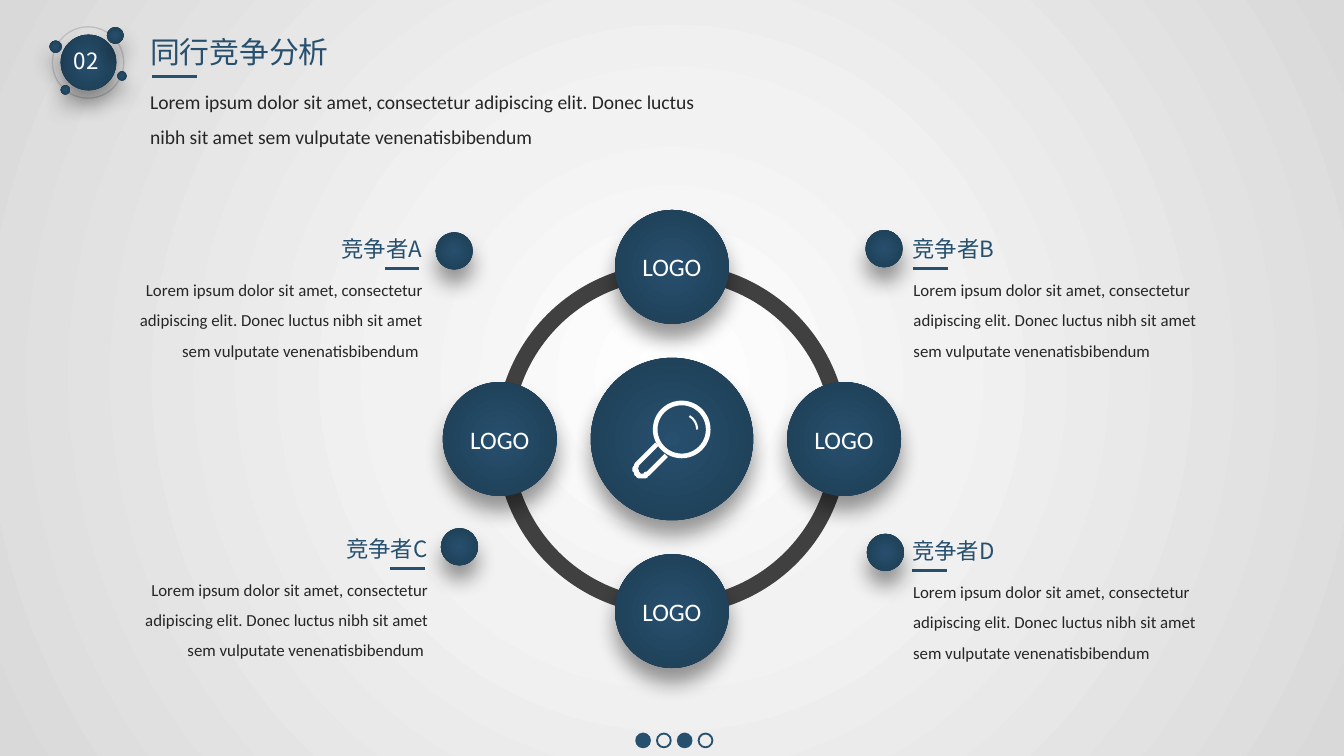
import math

from lxml import etree
from pptx import Presentation
from pptx.dml.color import RGBColor
from pptx.enum.shapes import MSO_CONNECTOR, MSO_SHAPE
from pptx.enum.text import MSO_ANCHOR, PP_ALIGN
from pptx.oxml.ns import qn
from pptx.util import Pt

STRAIGHT = MSO_CONNECTOR.STRAIGHT
OVAL, BLOCK_ARC, ARC = MSO_SHAPE.OVAL, MSO_SHAPE.BLOCK_ARC, MSO_SHAPE.ARC
LEFT, CENTER, RIGHT = PP_ALIGN.LEFT, PP_ALIGN.CENTER, PP_ALIGN.RIGHT
MIDDLE = MSO_ANCHOR.MIDDLE

BLUE, WHITE, DARK, RING = "27506E", "FFFFFF", "262626", "404040"
CIRCLE_STOPS = [(0, BLUE), (100, "1D3C52")]
PAGE_STOPS = [(0, WHITE), (35, "F2F2F2"), (100, "D9D9D9")]
LATIN, CJK = "Calibri", "Noto Sans CJK SC"
LOREM = ("Lorem ipsum dolor sit amet, consectetur adipiscing elit. "
         "Donec luctus nibh sit amet sem vulputate venenatisbibendum")
CX, CY = 360, 235.2  # centre of the ring diagram


def color(value):
    return RGBColor.from_string(value)


def radial(solid, stops):
    """Replace a solid fill element by a gradient running out from the centre."""
    grad = etree.Element(qn("a:gradFill"), rotWithShape="1")
    gs_list = etree.SubElement(grad, qn("a:gsLst"))
    for pos, value in stops:
        gs = etree.SubElement(gs_list, qn("a:gs"), pos=str(pos * 1000))
        etree.SubElement(gs, qn("a:srgbClr"), val=value)
    way = etree.SubElement(grad, qn("a:path"), {"path": "circle"})
    etree.SubElement(way, qn("a:fillToRect"), l="50000", t="50000", r="50000", b="50000")
    solid.getparent().replace(solid, grad)


def add_shadow(sp):
    effects = sp.element.spPr.find(qn("a:effectLst"))
    shadow = etree.SubElement(effects, qn("a:outerShdw"), blurRad=str(Pt(11)),
                              dist=str(Pt(8)), dir="5400000", algn="t", rotWithShape="0")
    black = etree.SubElement(shadow, qn("a:srgbClr"), val="000000")
    etree.SubElement(black, qn("a:alpha"), val="40000")


def paint(sp, fill=None, line=None, width=1):
    sp.shadow.inherit = False
    if fill:
        sp.fill.solid()
        sp.fill.fore_color.rgb = color(fill)
    else:
        sp.fill.background()
    if line:
        sp.line.color.rgb = color(line)
        sp.line.width = Pt(width)
    else:
        sp.line.fill.background()


def add_shape(slide, kind, x, y, size, **style):
    sp = slide.shapes.add_shape(kind, Pt(x), Pt(y), Pt(size), Pt(size))
    paint(sp, **style)
    return sp


def write(sp, text, size, font, value, align=LEFT, spacing=None):
    p = sp.text_frame.paragraphs[0]
    p.text = text
    p.alignment = align
    if spacing:
        p.line_spacing = spacing
    r = p.runs[0]
    r.font.size = Pt(size)
    r.font.name = font
    r.font.color.rgb = color(value)
    etree.SubElement(r.font._element, qn("a:ea"), typeface=font)


def add_text(slide, x, y, w, h, text, size, font, value, wrap=True, **layout):
    sp = slide.shapes.add_textbox(Pt(x), Pt(y), Pt(w), Pt(h))
    sp.text_frame.word_wrap = wrap
    write(sp, text, size, font, value, **layout)


def add_ball(slide, x, y, size, label=None):
    sp = add_shape(slide, OVAL, x, y, size, fill=BLUE)
    radial(sp.element.spPr.find(qn("a:solidFill")), CIRCLE_STOPS)
    add_shadow(sp)
    if label:
        tf = sp.text_frame
        tf.vertical_anchor = MIDDLE
        tf.word_wrap = False
        write(sp, label, 13.5, LATIN, WHITE, CENTER)


def add_rule(slide, x, y, length):
    s = slide.shapes.add_connector(STRAIGHT, Pt(x), Pt(y), Pt(x + length), Pt(y))
    s.line.color.rgb = color(BLUE)
    s.line.width = Pt(1.5)
    etree.SubElement(s.element.spPr, qn("a:effectLst"))


def add_header(slide):
    # Badge with its satellites
    add_shape(slide, OVAL, 28.1, 14.4, 38.2, line="BFBFBF", width=0.75)
    for x, y, size in [(32.5, 18.6, 29.8), (57.3, 14.5, 9), (26.5, 21.7, 6.6),
                       (32.5, 45.7, 5), (62.9, 38.2, 5)]:
        add_ball(slide, x, y, size)
    add_text(slide, 73.4, 14.4, 111.6, 26.6, "同行竞争分析", 16, CJK, BLUE, wrap=False)
    add_text(slide, 73.4, 38.2, 321.8, 43.2, LOREM, 10.5, LATIN, DARK, spacing=1.5)
    add_rule(slide, 81.4, 41, 24.4)
    add_text(slide, 32.4, 21.6, 29.5, 21.6, "02", 12, CJK, WHITE, wrap=False)


def add_page_dots(slide):
    for i in range(4):
        add_shape(slide, OVAL, 340.8 + 11.15 * i, 393, 7.4,
                  fill=None if i % 2 else BLUE, line=BLUE)


def add_diagram(slide):
    # Ring in four quarters
    for start in (108, 54, 0, 162):
        arc = add_shape(slide, BLOCK_ARC, CX - 94.4, CY - 94.4, 188.8, fill=RING)
        for i, value in enumerate((start, (start + 54) % 216, 0.046)):
            arc.adjustments[i] = value
    # Centre and the four competitors around it
    add_ball(slide, CX - 43.5, CY - 43.5, 87)
    for dx, dy in [(0, -1), (1, 0), (0, 1), (-1, 0)]:
        add_ball(slide, CX + 92.2 * dx - 30.5, CY + 92.2 * dy - 30.5, 61, "LOGO")


def add_competitor(slide, name, edge, top, align, dot):
    """Heading, rule and body hung on the edge that faces the ring."""
    if align == RIGHT:
        head_x, body_x, rule_x = edge - 136.8, edge - 175.7, edge - 27.2
        body = LOREM + " "
    else:
        head_x, body_x, rule_x = edge, edge + 0.5, edge + 7.2
        body = LOREM
    add_text(slide, body_x, top + 18.5, 175.7, 56.2, body, 9, LATIN, DARK,
             align=align, spacing=1.5)
    add_text(slide, head_x, top, 136.8, 21.6, "竞争者" + name, 12, CJK, BLUE, align=align)
    add_rule(slide, rule_x, top + 21.6, 18.6)
    add_ball(slide, *dot, 19.9)


def add_magnifier(slide):
    x, y = 365.2, 230.1  # lens centre
    add_shape(slide, OVAL, x - 14.2, y - 14.2, 28.4, line=WHITE, width=2.5)
    glint = add_shape(slide, ARC, x - 8.3, y - 8.3, 16.6, line=WHITE, width=1.1)
    glint.adjustments[0], glint.adjustments[1] = 180, 270
    # Handle: two parallel sides joined by a round end
    end_x, end_y, radius, length = 344, 251.4, 3.6, 10.4
    arc = [(end_x + radius * math.cos(math.radians(a)),
            end_y + radius * math.sin(math.radians(a))) for a in range(225, 44, -10)]
    points = [(px + length, py - length) for px, py in (arc[0], arc[-1])]
    builder = slide.shapes.build_freeform(points[0][0], points[0][1], scale=Pt(1))
    builder.add_line_segments(arc + points[1:], close=False)
    paint(builder.convert_to_shape(), line=WHITE, width=2.5)


def main():
    prs = Presentation()
    prs.slide_width, prs.slide_height = Pt(720), Pt(405)
    slide = prs.slides.add_slide(prs.slide_layouts[6])
    slide.background.fill.solid()
    radial(slide.element.xpath(".//p:bgPr/a:solidFill")[0], PAGE_STOPS)

    add_header(slide)
    add_page_dots(slide)
    add_diagram(slide)
    add_competitor(slide, "A", 233.3, 122.4, RIGHT, (233.4, 124.5))
    add_competitor(slide, "B", 481.8, 122.4, LEFT, (463.7, 123.3))
    add_competitor(slide, "C", 236.2, 283, RIGHT, (236.2, 283))
    add_competitor(slide, "D", 481.6, 284.2, LEFT, (464.4, 286))
    add_magnifier(slide)
    prs.save("out.pptx")


if __name__ == "__main__":
    main()
